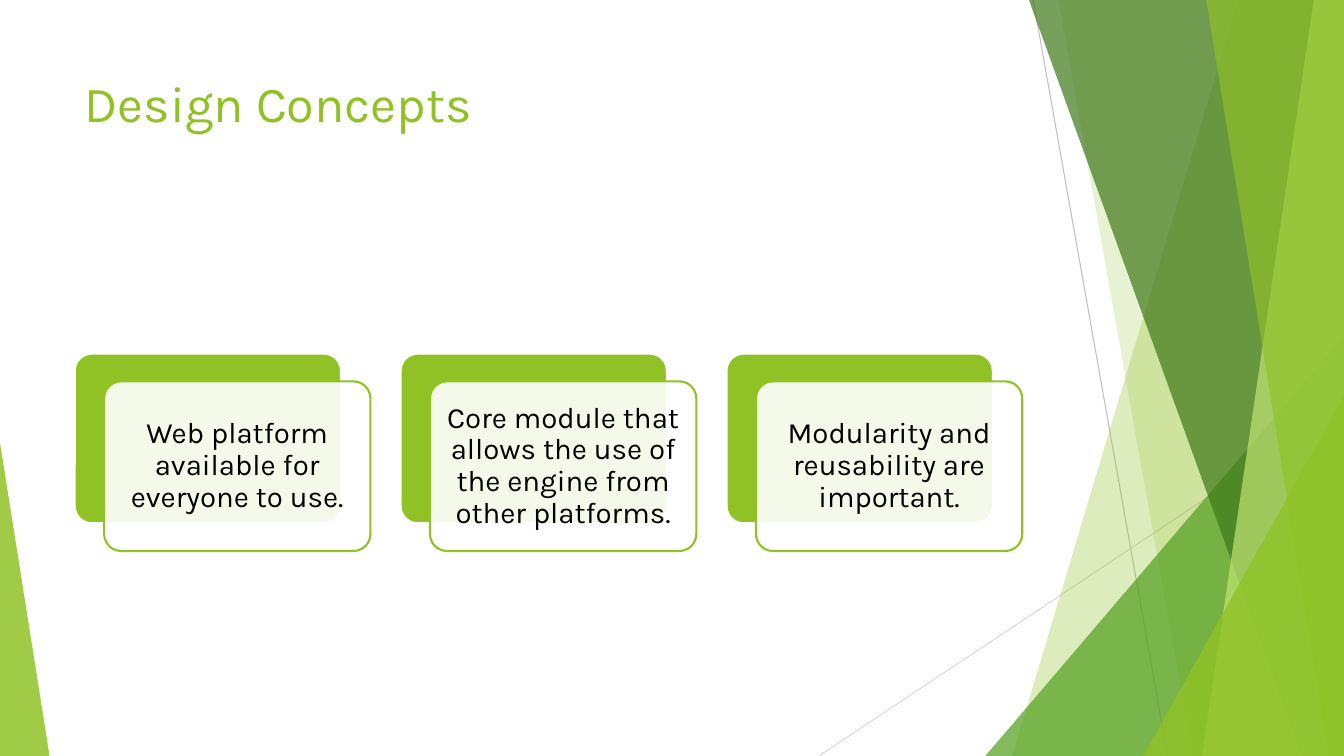
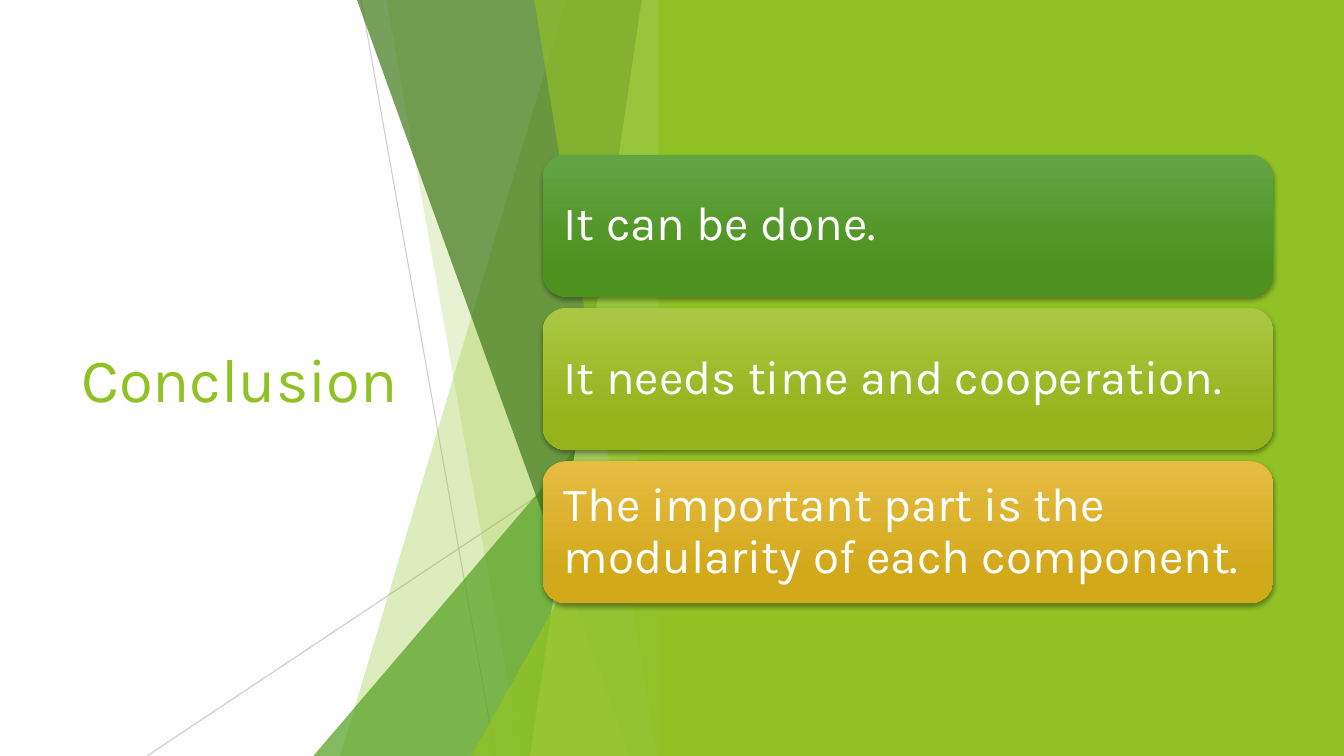
from dataclasses import dataclass

from lxml.etree import SubElement
from pptx import Presentation
from pptx.dml.color import RGBColor as RGB
from pptx.enum.shapes import MSO_CONNECTOR as Link, MSO_SHAPE as Kind
from pptx.enum.text import MSO_ANCHOR as Anchor, PP_ALIGN as Align
from pptx.oxml.ns import qn
from pptx.util import Inches, Pt

# Grid: 160 columns by 90 rows of square cells
COLS, ROWS = 160, 90
CELL = Inches(1) / 12

FONT = "Karla"
LIME = RGB(0x90, 0xC2, 0x26)
GREEN = RGB(0x54, 0xA0, 0x21)
DARK = RGB(0x3F, 0x78, 0x19)
PALE = RGB(0xC0, 0xE4, 0x74)
GREY = RGB(0xBF, 0xBF, 0xBF)
LIGHT = RGB(0xD9, 0xD9, 0xD9)
WHITE = RGB(0xFF, 0xFF, 0xFF)
BLACK = RGB(0, 0, 0)

# Bar shades, each from top to bottom
SHADES = [
    (RGB(0x63, 0xA5, 0x45), RGB(0x4D, 0x92, 0x1E)),
    (RGB(0xAA, 0xC7, 0x44), RGB(0x97, 0xB3, 0x1C)),
    (RGB(0xE7, 0xBC, 0x43), RGB(0xD2, 0xA9, 0x1B)),
]

# Wall parts, back to front: (top, foot) columns left of the edge for a
# blade, (width, height) for a wedge; then colour and opacity
BLADE, WEDGE = "blade", "wedge"
WALL = [
    (BLADE, 12.6, 39.5, LIME, 30),
    (BLADE, 34, 18, LIME, 20),
    (WEDGE, 42.7, 50, GREEN, 72),
    (BLADE, 37.5, 5, DARK, 70),
    (BLADE, 3.6, 16.9, PALE, 70),
    (BLADE, 16.4, 1.8, LIME, 65),
    (WEDGE, 23.9, 42.8, LIME, 80),
]
# Thin lines: start and end as columns left of the edge, and rows
RAYS = [(37, 0, 21, ROWS), (0, 48.4, 62.5, ROWS)]


@dataclass
class Box:
    x: float
    y: float
    w: float
    h: float

    def emu(self):
        return [span(n) for n in (self.x, self.y, self.w, self.h)]


def span(cells):
    return round(cells * CELL)


def fade(root, share):
    """Set the opacity of the first colour under root, in percent."""
    if share < 100:
        tint = root.find(".//" + qn("a:srgbClr"))
        SubElement(tint, qn("a:alpha"), val=str(share * 1000))


def paint(shape, color, share=100, edge=None):
    shape.shadow.inherit = False
    shape.fill.solid()
    shape.fill.fore_color.rgb = color
    fade(shape.element.spPr, share)
    if edge is None:
        shape.line.fill.background()
    else:
        shape.line.color.rgb = edge
        shape.line.width = Pt(1.5)


def write(shape, text, size, color, anchor=Anchor.MIDDLE,
          align=Align.LEFT, pad=None, pitch=None):
    frame = shape.text_frame
    frame.word_wrap = True
    frame.vertical_anchor = anchor
    if pad is not None:
        frame.margin_left = frame.margin_right = Inches(pad)
        frame.margin_top = frame.margin_bottom = Inches(pad)
    para = frame.paragraphs[0]
    para.alignment = align
    if pitch:
        para.line_spacing = pitch
    run = para.add_run()
    run.text = text
    run.font.name = FONT
    run.font.size = Pt(size)
    run.font.color.rgb = color


def title(slide, box, text, size, anchor):
    write(slide.shapes.add_textbox(*box.emu()), text, size, LIME, anchor)


def wedge(slide, box, lean, color, share):
    """Right-angled triangle; lean is 0 for left, 1 for right."""
    shape = slide.shapes.add_shape(Kind.ISOSCELES_TRIANGLE, *box.emu())
    shape.adjustments[0] = lean
    paint(shape, color, share)


def blade(slide, edge, top, foot, color, share):
    """Four-sided strip, full height, that ends at the right edge."""
    spots = [(edge - top, 0), (edge, 0), (edge, ROWS), (edge - foot, ROWS)]
    first, *rest = [(span(x), span(y)) for x, y in spots]
    build = slide.shapes.build_freeform(*first)
    build.add_line_segments(rest, close=True)
    paint(build.convert_to_shape(), color, share)


def wall(slide, edge, inks):
    """Faceted wall whose right side stands at column edge."""
    for (x1, y1, x2, y2), (color, share) in zip(RAYS, inks):
        ray = slide.shapes.add_connector(
            Link.STRAIGHT, span(edge - x1), span(y1), span(edge - x2), span(y2))
        ray.line.color.rgb = color
        ray.line.width = Pt(0.75)
        props = ray.element.spPr
        fade(props, share)
        SubElement(props, qn("a:effectLst"))
    for kind, a, b, color, share in WALL:
        if kind == BLADE:
            blade(slide, edge, a, b, color, share)
        else:
            wedge(slide, Box(edge - a, ROWS - b, a, b), 1, color, share)


def cards(slide, box, texts):
    """Row of cards, each a white plate shifted over a green one."""
    gap, dx, dy = 3.6, 3.5, 3.3
    step = (box.w + gap) / len(texts)
    w, h = step - gap - dx, box.h - dy
    for i, text in enumerate(texts):
        x = box.x + i * step
        back = slide.shapes.add_shape(
            Kind.ROUNDED_RECTANGLE, *Box(x, box.y, w, h).emu())
        front = slide.shapes.add_shape(
            Kind.ROUNDED_RECTANGLE, *Box(x + dx, box.y + dy, w, h).emu())
        back.adjustments[0] = front.adjustments[0] = 0.1
        paint(back, LIME, edge=WHITE)
        paint(front, WHITE, 90, LIME)
        write(front, text, 21, BLACK, align=Align.CENTER, pad=0.09, pitch=0.9)


def bars(slide, box, texts):
    """Stack of shaded bars with a soft shadow."""
    gap = 1.35
    step = (box.h + gap) / len(texts)
    for i, (text, shade) in enumerate(zip(texts, SHADES)):
        spot = Box(box.x, box.y + i * step, box.w, step - gap)
        bar = slide.shapes.add_shape(Kind.ROUNDED_RECTANGLE, *spot.emu())
        bar.line.fill.background()
        bar.fill.gradient()
        bar.fill.gradient_angle = 270
        for stop, color, place in zip(bar.fill.gradient_stops, shade, (0, 0.78)):
            stop.color.rgb = color
            stop.position = place
        bar.shadow.inherit = False
        glow = SubElement(
            bar.element.spPr.find(qn("a:effectLst")), qn("a:outerShdw"),
            blurRad=str(Pt(3)), dist=str(Pt(2)), dir="5400000",
            algn="ctr", rotWithShape="0")
        SubElement(glow, qn("a:srgbClr"), val=str(BLACK))
        fade(glow, 35)
        write(bar, text, 34, WHITE, pad=0.14, pitch=0.9)


def design(slide):
    wall(slide, COLS, [(GREY, 100), (LIGHT, 100)])
    wedge(slide, Box(0, 52.7, 5.9, 37.3), 0, LIME, 85)
    title(slide, Box(8.9, 8, 112.8, 17.3), "Design Concepts", 36, Anchor.TOP)
    cards(slide, Box(8.9, 42.1, 112.8, 23.5), [
        "Web platform available for everyone to use.",
        "Core module that allows the use of the engine from other platforms.",
        "Modularity and reusability are important.",
    ])


def closing(slide):
    title(slide, Box(8.5, 18.1, 46.6, 53.8), "Conclusion", 44, Anchor.MIDDLE)
    wall(slide, COLS / 2, [(GREY, 75), (GREY, 80)])
    # Plain panel on the right
    panel = slide.shapes.add_shape(
        Kind.RECTANGLE, *Box(78.4, 0, COLS - 78.4, ROWS).emu())
    paint(panel, LIME)
    bars(slide, Box(64.6, 18.4, 87, 53.4), [
        "It can be done.",
        "It needs time and cooperation.",
        "The important part is the modularity of each component.",
    ])


def main():
    deck = Presentation()
    deck.slide_width, deck.slide_height = span(COLS), span(ROWS)
    for fill in (design, closing):
        fill(deck.slides.add_slide(deck.slide_layouts[6]))
    deck.save("out.pptx")


if __name__ == "__main__":
    main()
